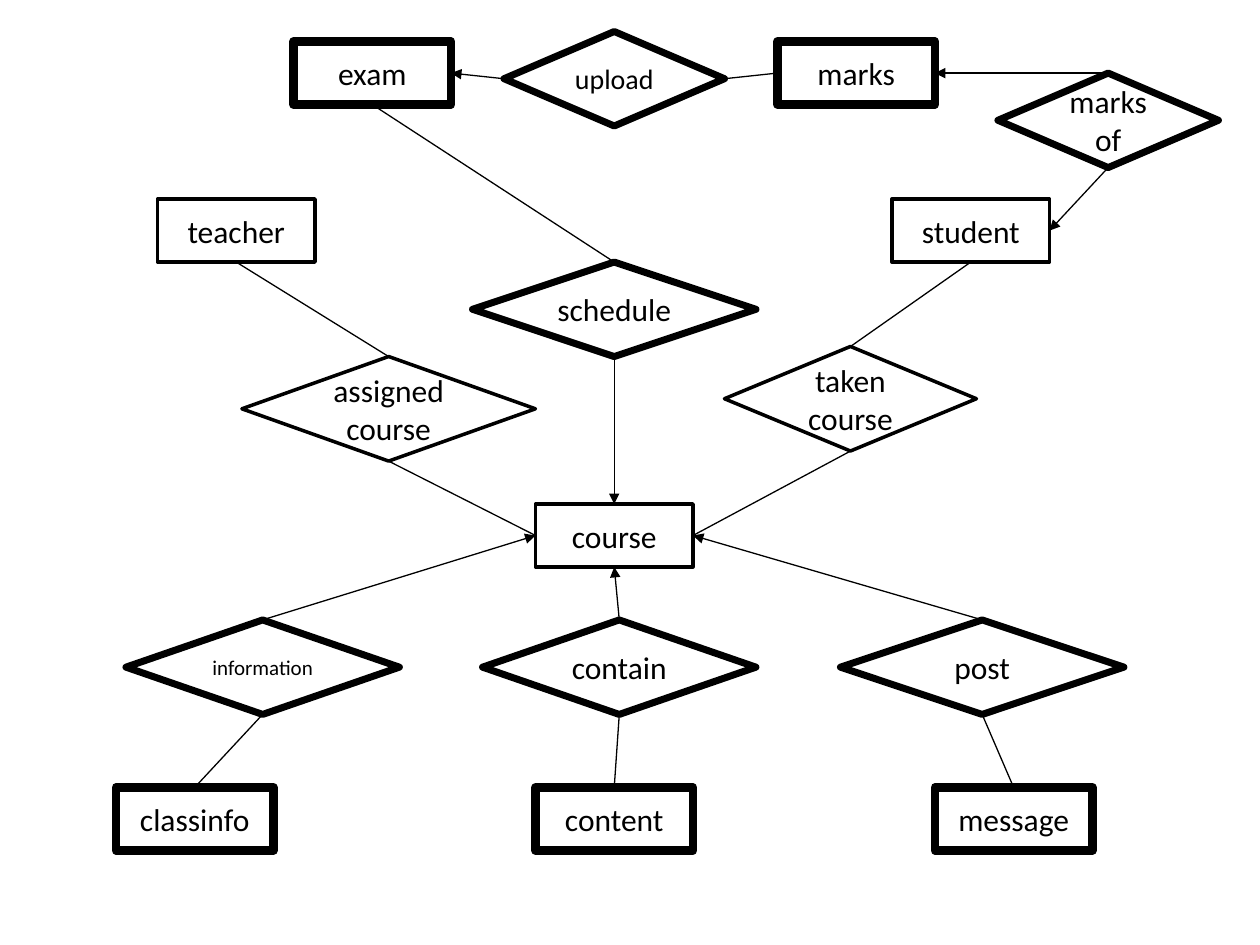
from pptx import Presentation
from pptx.dml.color import RGBColor
from pptx.enum.shapes import MSO_CONNECTOR, MSO_SHAPE
from pptx.enum.text import MSO_ANCHOR, PP_ALIGN
from pptx.oxml.ns import qn
from pptx.util import Inches, Pt
from lxml.etree import SubElement

COLOURS = {"ink": "000000", "paper": "FFFFFF"}
FONT = "Calibri"
INK = RGBColor.from_string(COLOURS["ink"])

# Connection sites shared by rectangles and diamonds
TOP, LEFT, BOTTOM, RIGHT = range(4)

ENTITY_SIZE = (1.25, 0.5)

# name: left, top, line width
ENTITIES = {
    "course": (4.25, 4, 2),
    "teacher": (1.25, 1.58, 2),
    "student": (7.08, 1.58, 2),
    "classinfo": (0.92, 6.25, 5),
    "content": (4.25, 6.25, 5),
    "message": (7.42, 6.25, 5),
    "exam": (2.33, 0.33, 5),
    "marks": (6.17, 0.33, 5),
}

# name: box, line width, text size
RELATIONS = {
    "assigned\ncourse": ((1.92, 2.83, 2.33, 0.83), 2, 18),
    "taken\ncourse": ((5.75, 2.75, 2, 0.83), 2, 18),
    "information": ((1, 4.92, 2.17, 0.75), 4, 12),
    "contain": ((3.83, 4.92, 2.17, 0.75), 4, 18),
    "post": ((6.67, 4.92, 2.25, 0.75), 4, 18),
    "schedule": ((3.75, 2.08, 2.25, 0.75), 4, 18),
    "marks\vof": ((7.92, 0.58, 1.75, 0.75), 4, 18),
    "upload": ((4, 0.25, 1.75, 0.75), 4, 16),
}

# start, start site, end, end site, arrowhead at the end
LINKS = [
    ("schedule", TOP, "exam", BOTTOM, False),
    ("schedule", BOTTOM, "course", TOP, True),
    ("upload", LEFT, "exam", RIGHT, True),
    ("marks", LEFT, "upload", RIGHT, False),
    ("marks\vof", BOTTOM, "student", RIGHT, True),
    ("marks\vof", TOP, "marks", RIGHT, True),
    ("contain", TOP, "course", BOTTOM, True),
    ("post", TOP, "course", RIGHT, True),
    ("information", TOP, "course", LEFT, True),
    ("information", BOTTOM, "classinfo", TOP, False),
    ("contain", BOTTOM, "content", TOP, False),
    ("post", BOTTOM, "message", TOP, False),
    ("teacher", BOTTOM, "assigned\ncourse", TOP, False),
    ("taken\ncourse", TOP, "student", BOTTOM, False),
    ("course", RIGHT, "taken\ncourse", BOTTOM, False),
    ("assigned\ncourse", BOTTOM, "course", LEFT, False),
]


def add_node(slide, kind, box, text, line_width, text_size=18):
    """Draw an outlined shape with centred text in the given box."""
    shape = slide.shapes.add_shape(kind, *map(Inches, box))
    shape.shadow.inherit = False
    shape.fill.background()
    shape.line.color.rgb = INK
    shape.line.width = Pt(line_width)
    text_frame = shape.text_frame
    text_frame.word_wrap = True
    text_frame.vertical_anchor = MSO_ANCHOR.MIDDLE
    text_frame.text = text
    for paragraph in text_frame.paragraphs:
        paragraph.alignment = PP_ALIGN.CENTER
        for run in paragraph.runs:
            run.font.name = FONT
            run.font.size = Pt(text_size)
            run.font.color.rgb = INK
    return shape


def add_link(slide, start, start_site, end, end_site, arrow):
    """Join two nodes with a thin line glued to their sites."""
    connector = slide.shapes.add_connector(MSO_CONNECTOR.STRAIGHT, 0, 0, 0, 0)
    connector.begin_connect(start, start_site)
    connector.end_connect(end, end_site)
    connector.line.color.rgb = INK
    connector.line.width = Pt(0.75)
    if arrow:
        SubElement(connector.line._get_or_add_ln(), qn("a:tailEnd"), type="triangle")
    SubElement(connector._element.spPr, qn("a:effectLst"))


def add_diagram(slide):
    """Draw the entities, the relations and the links between them."""
    nodes = {}
    for name, (left, top, line_width) in ENTITIES.items():
        box = (left, top, *ENTITY_SIZE)
        nodes[name] = add_node(slide, MSO_SHAPE.RECTANGLE, box, name, line_width)
    for name, (box, line_width, text_size) in RELATIONS.items():
        nodes[name] = add_node(slide, MSO_SHAPE.FLOWCHART_DECISION, box, name,
                               line_width, text_size)
    for start, start_site, end, end_site, arrow in LINKS:
        add_link(slide, nodes[start], start_site, nodes[end], end_site, arrow)


presentation = Presentation()
presentation.slide_width = Inches(10)
presentation.slide_height = Inches(7.5)
slide = presentation.slides.add_slide(presentation.slide_layouts[6])
slide.background.fill.solid()
slide.background.fill.fore_color.rgb = RGBColor.from_string(COLOURS["paper"])
add_diagram(slide)
presentation.save("out.pptx")
